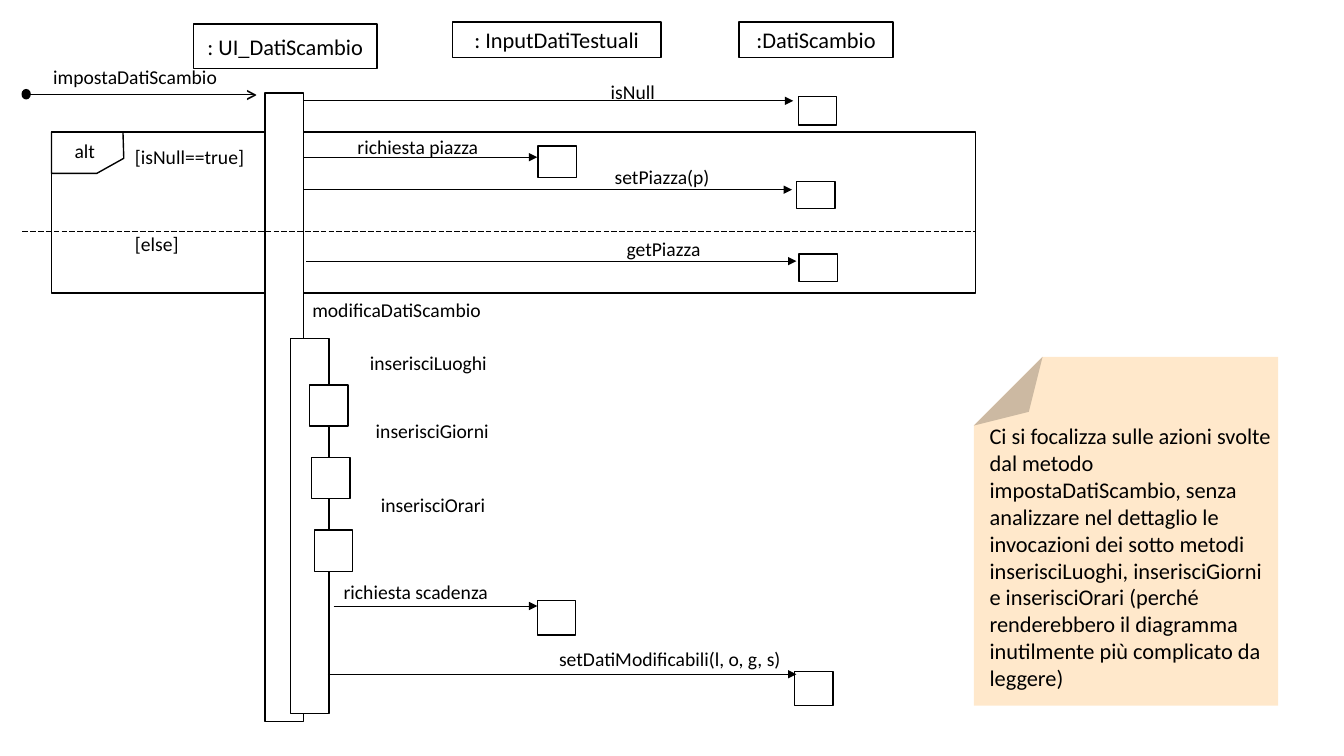
from lxml import etree
from pptx import Presentation
from pptx.dml.color import RGBColor
from pptx.enum.dml import MSO_LINE
from pptx.enum.shapes import MSO_CONNECTOR, MSO_SHAPE
from pptx.enum.text import MSO_ANCHOR, PP_ALIGN
from pptx.oxml.ns import qn
from pptx.util import Cm, Pt

STRAIGHT = MSO_CONNECTOR.STRAIGHT
LONG_DASH = MSO_LINE.LONG_DASH
RECTANGLE = MSO_SHAPE.RECTANGLE
OVAL = MSO_SHAPE.OVAL
FOLDED_CORNER = MSO_SHAPE.FOLDED_CORNER
MIDDLE = MSO_ANCHOR.MIDDLE
CENTER = PP_ALIGN.CENTER

FONT = "Calibri"
BLACK = "000000"
WHITE = "FFFFFF"
NOTE_FILL = "FFE8CB"
BAR_WIDTH = 0.97
LABEL_HEIGHT = 0.87

# text, left, top, width, height
OBJECTS = [
    (":DatiScambio", 18.62, 0.56, 3.89, 0.89),
    (": InputDatiTestuali", 11.4, 0.56, 5.26, 0.89),
    (": UI_DatiScambio", 4.88, 0.61, 4.62, 1.12),
]
# text, label (left, top, width), arrow (start x, end x, y), target (left, top, height)
MESSAGES = [
    ("isNull", (15.14, 1.88, 3.51), (7.67, 19.99, 2.54), (20.12, 2.44, 0.71)),
    ("richiesta piazza", (8.76, 3.28, 4.34), (7.67, 13.54, 3.96), (13.56, 3.68, 0.79)),
    ("setPiazza(p)", (15.24, 4.04, 3.51), (7.65, 19.96, 4.78), (20.07, 4.57, 0.69)),
    ("getPiazza", (15.54, 5.84, 2.51), (7.72, 20.07, 6.58), (20.14, 6.4, 0.69)),
    ("richiesta scadenza", (8.41, 14.48, 4.37), (8.41, 13.54, 15.27), (13.54, 15.14, 0.86)),
    ("setDatiModificabili(l, o, g, s)", (13.84, 16.18, 7.11), (8.26, 20.07, 16.99),
     (20.02, 16.92, 0.86)),
]
# text, label (left, top), activation (left, top)
SELF_CALLS = [
    ("inserisciLuoghi", (9.07, 8.71), (7.8, 9.7)),
    ("inserisciGiorni", (9.22, 10.44), (7.85, 11.53)),
    ("inserisciOrari", (9.35, 12.29), (7.92, 13.36)),
]
# text, left, top, width
GUARDS = [
    ("alt", 1.63, 3.38, 1.27),
    ("[isNull==true]", 3.15, 3.53, 3.89),
    ("[else]", 3.15, 5.72, 1.75),
]
ALT_TAB = [(1.3, 3.33), (3.1, 3.33), (3.12, 3.99), (2.44, 4.37), (1.3, 4.37)]
NOTE = (
    "Ci si focalizza sulle azioni svolte dal metodo impostaDatiScambio, senza "
    "analizzare nel dettaglio le invocazioni dei sotto metodi inserisciLuoghi, "
    "inserisciGiorni e inserisciOrari (perché renderebbero il diagramma "
    "inutilmente più complicato da leggere)"
)


def color(hex_value):
    return RGBColor.from_string(hex_value)


def write(frame, text, size):
    frame.word_wrap = True
    run = frame.paragraphs[0].add_run()
    run.text = text
    run.font.name = FONT
    run.font.size = Pt(size)
    run.font.color.rgb = color(BLACK)


def outline(shape):
    shape.shadow.inherit = False
    shape.line.color.rgb = color(BLACK)
    shape.line.width = Pt(1)


def add_box(slide, left, top, width, height, kind=RECTANGLE, fill=WHITE):
    box = slide.shapes.add_shape(kind, Cm(left), Cm(top), Cm(width), Cm(height))
    box.fill.solid()
    box.fill.fore_color.rgb = color(fill)
    outline(box)
    return box


def add_activation(slide, left, top, height):
    add_box(slide, left, top, BAR_WIDTH, height)


def add_object(slide, name, left, top, width, height):
    frame = add_box(slide, left, top, width, height).text_frame
    frame.vertical_anchor = MIDDLE
    write(frame, name, 16)
    frame.paragraphs[0].alignment = CENTER


def add_label(slide, text, left, top, width, height=LABEL_HEIGHT, size=14):
    label = slide.shapes.add_textbox(Cm(left), Cm(top), Cm(width), Cm(height))
    write(label.text_frame, text, size)


def add_line(slide, start_x, end_x, y, arrow=False, dash=None):
    line = slide.shapes.add_connector(STRAIGHT, Cm(start_x), Cm(y), Cm(end_x), Cm(y))
    line.line.color.rgb = color(BLACK)
    line.line.width = Pt(0.5)
    if dash:
        line.line.dash_style = dash
    properties = line._element.spPr
    if arrow:
        etree.SubElement(properties.find(qn("a:ln")), qn("a:tailEnd"), type="triangle")
    etree.SubElement(properties, qn("a:effectLst"))


def add_alt_tab(slide):
    points = [(Cm(x), Cm(y)) for x, y in ALT_TAB]
    builder = slide.shapes.build_freeform(*points[0])
    builder.add_line_segments(points[1:], close=True)
    tab = builder.convert_to_shape()
    tab.fill.background()
    outline(tab)


def add_note(slide):
    note = add_box(slide, 24.54, 8.99, 7.67, 8.79, FOLDED_CORNER, NOTE_FILL)
    note.line.fill.background()
    note.rotation = 180
    fold = note._element.spPr.find(qn("a:prstGeom")).find(qn("a:avLst"))
    etree.SubElement(fold, qn("a:gd"), name="adj", fmla="val 22600")
    add_label(slide, NOTE, 24.69, 10.52, 7.67, 7.77, 16)


def main():
    deck = Presentation()
    deck.slide_width, deck.slide_height = Cm(33.87), Cm(19.05)
    slide = deck.slides.add_slide(deck.slide_layouts[6])

    add_box(slide, 1.3, 3.33, 23.29, 4.06)
    for participant in OBJECTS:
        add_object(slide, *participant)

    add_box(slide, 0.56, 2.26, 0.2, 0.23, OVAL, BLACK)
    add_line(slide, 0.74, 6.4, 2.39)
    add_label(slide, ">", 5.92, 1.85, 0.97, 1.02, 18)
    add_label(slide, "impostaDatiScambio", 1.09, 1.5, 5.08)

    add_activation(slide, 6.68, 2.34, 15.85)
    add_activation(slide, 7.32, 8.53, 9.45)
    add_label(slide, "modificaDatiScambio", 7.62, 7.39, 4.78)

    add_alt_tab(slide)
    for guard in GUARDS:
        add_label(slide, *guard)
    add_line(slide, 0.56, 24.59, 5.84, dash=LONG_DASH)

    for text, label, arrow, target in MESSAGES:
        add_activation(slide, *target)
        add_line(slide, *arrow, arrow=True)
        add_label(slide, text, *label)

    for text, label, activation in SELF_CALLS:
        add_label(slide, text, *label, 3.89)
        add_activation(slide, *activation, 1.04)

    add_note(slide)
    deck.save("out.pptx")


if __name__ == "__main__":
    main()
